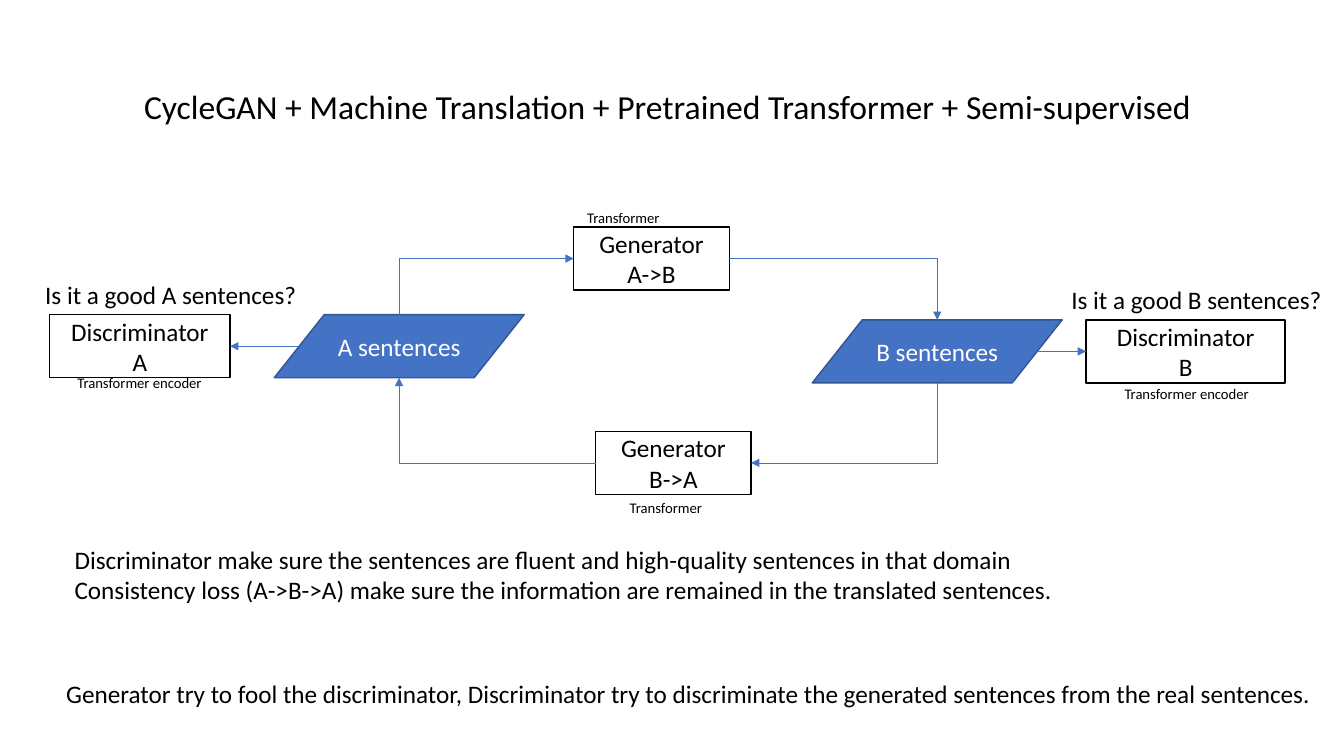
"""Builds the slide on CycleGAN machine translation with a pretrained transformer."""
from lxml import etree
from pptx import Presentation
from pptx import util as u
from pptx.dml.color import RGBColor
from pptx.enum import shapes, text
from pptx.oxml.ns import qn

COLORS = {"ink": "000000", "paper": "FFFFFF", "blue": "4472C4", "edge": "325491"}
FONT = "Calibri"
BOX_HEIGHT = 1.59
SLANT = 0.1

BOXES = {
    "generator_ab": (14.46, 5.72, 3.92, ["Generator", "A->B"]),
    "generator_ba": (15.01, 10.87, 3.92, ["Generator", "B->A"]),
    "discriminator_a": (1.25, 7.93, 4.55, ["Discriminator", "A"]),
    "discriminator_b": (27.37, 8.06, 5.02, ["Discriminator", "B"]),
    "sentences_a": (6.91, 7.93, 6.3, ["A sentences"]),
    "sentences_b": (20.47, 8.06, 6.3, ["B sentences"]),
}

ELBOW, STRAIGHT = "bentConnector2", "line"
ARROWS = [
    (("generator_ab", "right"), ("sentences_b", "top"), ELBOW, "tailEnd"),
    (("generator_ab", "left"), ("sentences_a", "top"), ELBOW, "headEnd"),
    (("generator_ba", "right"), ("sentences_b", "bottom"), ELBOW, "headEnd"),
    (("generator_ba", "left"), ("sentences_a", "bottom"), ELBOW, "tailEnd"),
    (("sentences_a", "left"), ("discriminator_a", "right"), STRAIGHT, "tailEnd"),
    (("sentences_b", "right"), ("discriminator_b", "left"), STRAIGHT, "tailEnd"),
]

LABELS = [
    (3.38, 2.03, 27.13, 1.27, 24,
     ["CycleGAN + Machine Translation + Pretrained Transformer + Semi-supervised"]),
    (0.89, 6.91, 7.65, 1.02, 18, ["Is it a good A sentences?"]),
    (26.75, 7.04, 7.65, 1.02, 18, ["Is it a good B sentences?"]),
    (1.63, 13.59, 27.05, 1.8, 18,
     ["Discriminator make sure the sentences are fluent and high-quality sentences in that domain",
      "Consistency loss (A->B->A) make sure the information are remained in the translated sentences."]),
    (1.42, 16.97, 32.28, 1.02, 18,
     ["Generator try to fool the discriminator, Discriminator try to discriminate "
      "the generated sentences from the real sentences."]),
    (1.7, 9.3, 4.83, 0.71, 10.5, ["Transformer encoder"]),
    (28.09, 9.58, 4.83, 0.71, 10.5, ["Transformer encoder"]),
    (14.55, 5.13, 4.83, 0.71, 10.5, ["Transformer"]),
    (15.62, 12.45, 4.83, 0.71, 10.5, ["Transformer"]),
]


def color(name):
    return RGBColor.from_string(COLORS[name])


def write(frame, lines, size, ink, align):
    frame.word_wrap = True
    for index, line in enumerate(lines):
        para = frame.paragraphs[0] if index == 0 else frame.add_paragraph()
        para.alignment = align
        span = para.add_run()
        span.text = line
        span.font.name = FONT
        span.font.size = u.Pt(size)
        span.font.color.rgb = color(ink)


def add_box(page, name):
    left, top, width, lines = BOXES[name]
    is_data = name.startswith("sentences")
    preset = shapes.MSO_SHAPE.FLOWCHART_DATA if is_data else shapes.MSO_SHAPE.RECTANGLE
    fill, line, ink = ("blue", "edge", "paper") if is_data else ("paper", "ink", "ink")
    box = page.shapes.add_shape(preset, u.Cm(left), u.Cm(top), u.Cm(width), u.Cm(BOX_HEIGHT))
    box.shadow.inherit = False
    box.fill.solid()
    box.fill.fore_color.rgb = color(fill)
    box.line.color.rgb = color(line)
    box.line.width = u.Pt(1)
    box.text_frame.vertical_anchor = text.MSO_ANCHOR.MIDDLE
    write(box.text_frame, lines, 18, ink, text.PP_ALIGN.CENTER)


def anchor(name, side):
    left, top, width, _ = BOXES[name]
    inset = SLANT * width if name.startswith("sentences") else 0
    x = {"left": left + inset, "right": left + width - inset}.get(side, left + width / 2)
    y = {"top": top, "bottom": top + BOX_HEIGHT}.get(side, top + BOX_HEIGHT / 2)
    return u.Cm(x), u.Cm(y)


def add_arrow(page, start, end, preset, head):
    arrow = page.shapes.add_connector(
        shapes.MSO_CONNECTOR.STRAIGHT, *anchor(*start), *anchor(*end))
    arrow.line.color.rgb = color("blue")
    arrow.line.width = u.Pt(0.5)
    properties = arrow._element.spPr
    properties.find(qn("a:prstGeom")).set("prst", preset)
    etree.SubElement(properties.find(qn("a:ln")), qn("a:" + head), type="triangle")
    etree.SubElement(properties, qn("a:effectLst"))


def add_label(page, left, top, width, height, size, lines):
    label = page.shapes.add_textbox(u.Cm(left), u.Cm(top), u.Cm(width), u.Cm(height))
    write(label.text_frame, lines, size, "ink", text.PP_ALIGN.LEFT)


deck = Presentation()
deck.slide_width, deck.slide_height = u.Cm(33.87), u.Cm(19.05)
page = deck.slides.add_slide(deck.slide_layouts[6])
for name in BOXES:
    add_box(page, name)
for arrow in ARROWS:
    add_arrow(page, *arrow)
for label in LABELS:
    add_label(page, *label)
deck.save("out.pptx")
